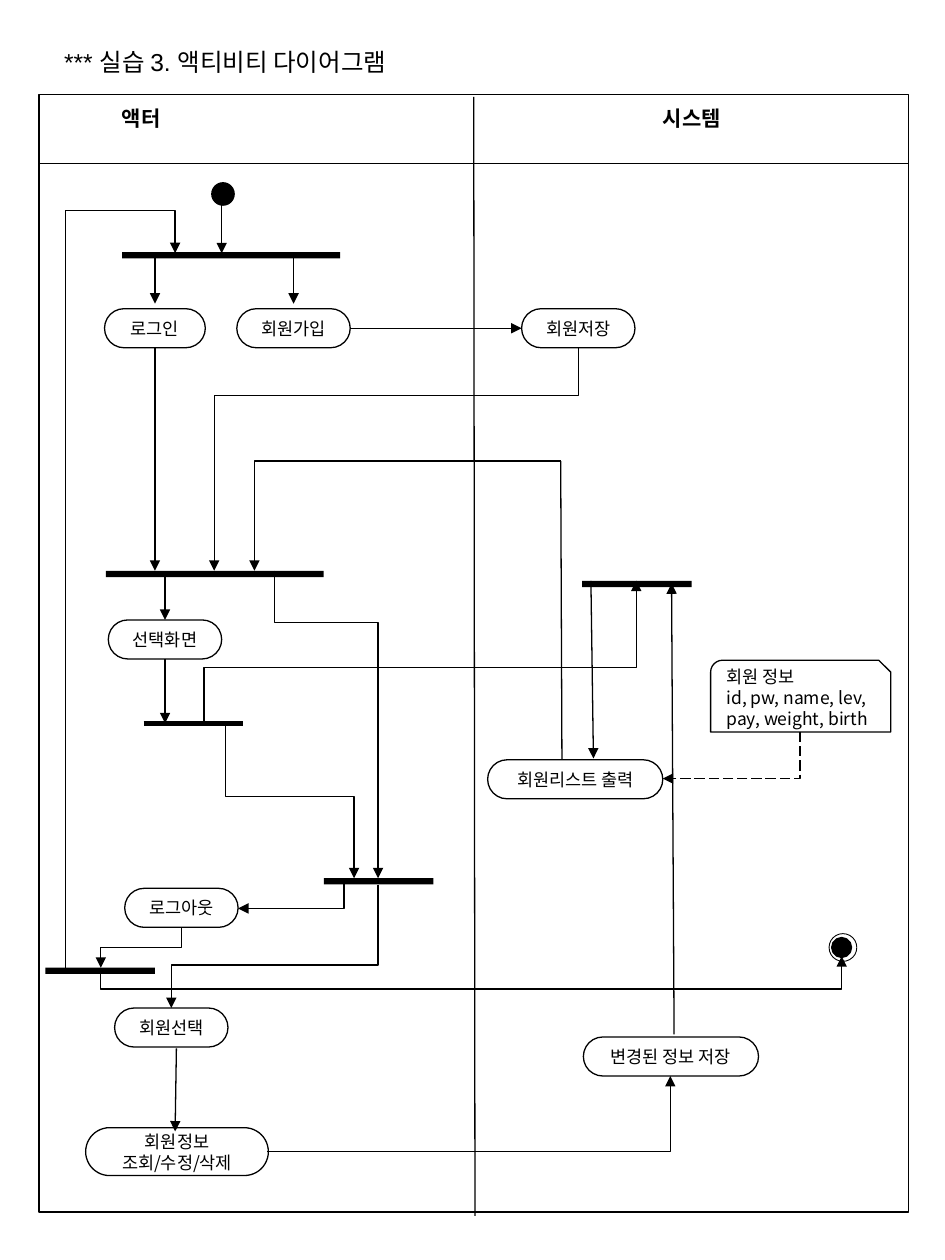
from lxml.etree import SubElement
from pptx import Presentation
from pptx.dml.color import RGBColor
from pptx.enum.dml import MSO_LINE
from pptx.enum.shapes import MSO_CONNECTOR as Connector, MSO_SHAPE as Shape
from pptx.enum.text import MSO_ANCHOR as Anchor, PP_ALIGN as Align
from pptx.oxml.ns import qn
from pptx.util import Inches, Pt

COLUMNS, ROWS = 75, 100
TOP, LEFT, BOTTOM, RIGHT = range(4)


def color(value):
    return RGBColor.from_string(value)


class ActivityDiagram:
    """Draws on one slide; every length is in columns and rows of the grid."""
    ink = "000000"
    body_font = "Noto Sans CJK KR"
    title_font = "Arial"
    thin = 0.75

    def __init__(self, presentation):
        self.slide = presentation.slides.add_slide(presentation.slide_layouts[6])
        self.column = presentation.slide_width / COLUMNS
        self.row = presentation.slide_height / ROWS

    def grid(self, x, y):
        return round(x * self.column), round(y * self.row)

    def add_lines(self, frame, lines, size, font, align, bold=False):
        frame.word_wrap = True
        for number, line in enumerate(lines):
            paragraph = frame.add_paragraph() if number else frame.paragraphs[0]
            paragraph.alignment = align
            run = paragraph.add_run()
            run.text = line
            run.font.size = Pt(size)
            run.font.bold = bold
            run.font.name = font
            run.font.color.rgb = color(self.ink)
            east_asian = SubElement(run._r.get_or_add_rPr(), qn("a:ea"))
            east_asian.set("typeface", self.body_font)

    def heading(self, box, text, size=12, align=Align.LEFT, bold=True):
        x, y, width, height = box
        shape = self.slide.shapes.add_textbox(*self.grid(x, y), *self.grid(width, height))
        self.add_lines(shape.text_frame, [text], size, self.title_font, align, bold)
        return shape

    def shape(self, kind, box, filled=False, line=thin):
        x, y, width, height = box
        shape = self.slide.shapes.add_shape(kind, *self.grid(x, y), *self.grid(width, height))
        shape.shadow.inherit = False
        if filled:
            shape.fill.solid()
            shape.fill.fore_color.rgb = color(self.ink)
        else:
            shape.fill.background()
        if line:
            shape.line.color.rgb = color(self.ink)
            shape.line.width = Pt(line)
        else:
            shape.line.fill.background()
        return shape

    def activity(self, x, y, width, text, height=3.1):
        shape = self.shape(Shape.ROUNDED_RECTANGLE, (x, y, width, height))
        shape.adjustments[0] = 0.5
        shape.text_frame.vertical_anchor = Anchor.MIDDLE
        self.add_lines(shape.text_frame, [text], 10, self.body_font, Align.CENTER)
        return shape

    def note(self, box, lines):
        shape = self.shape(Shape.SNIP_ROUND_RECTANGLE, box)
        shape.text_frame.vertical_anchor = Anchor.MIDDLE
        self.add_lines(shape.text_frame, lines, 10, self.body_font, Align.LEFT)

    def bar(self, x, y, width):
        self.shape(Shape.RECTANGLE, (x, y, width, 0.5), filled=True, line=None)

    def dot(self, x, y, diameter):
        self.shape(Shape.OVAL, (x, y, diameter, diameter), filled=True, line=2)

    def style_connector(self, connector, width=thin, arrow=True, dashed=False):
        connector.line.color.rgb = color(self.ink)
        connector.line.width = Pt(width)
        if dashed:
            connector.line.dash_style = MSO_LINE.LONG_DASH
        if arrow:
            SubElement(connector.line._get_or_add_ln(), qn("a:tailEnd")).set("type", "triangle")
        SubElement(connector._element.spPr, qn("a:effectLst"))

    def line(self, start, end, width=thin, arrow=False, source=None, target=None):
        """source and target are (shape, side) pairs to which the ends are joined."""
        connector = self.slide.shapes.add_connector(
            Connector.STRAIGHT, *self.grid(*start), *self.grid(*end))
        if source:
            connector.begin_connect(*source)
        if target:
            connector.end_connect(*target)
        self.style_connector(connector, width, arrow)

    def arrow(self, start, end, **joins):
        self.line(start, end, arrow=True, **joins)

    def elbow(self, start, end, turn=None, vertical_first=True, dashed=False):
        """Arrow with one corner, or with two corners on the row given as turn."""
        (x1, y1), (x2, y2) = start, end
        width, height = abs(x2 - x1), abs(y2 - y1)
        middle_x, middle_y = (x1 + x2) / 2, (y1 + y2) / 2
        flip_h, flip_v, rotation = x2 < x1, y2 < y1, 0
        if vertical_first:
            width, height = height, width
            flip_h, flip_v, rotation = y2 < y1, x2 > x1, 90
            if flip_v and not flip_h:
                flip_h, flip_v, rotation = True, False, 270
        connector = self.slide.shapes.add_connector(
            Connector.ELBOW,
            *self.grid(middle_x - width / 2, middle_y - height / 2),
            *self.grid(middle_x + width / 2, middle_y + height / 2))
        transform = connector._element.spPr.find(qn("a:xfrm"))
        for name, value in (("rot", rotation * 60000), ("flipH", flip_h), ("flipV", flip_v)):
            if value:
                transform.set(name, str(int(value)))
        geometry = connector._element.spPr.find(qn("a:prstGeom"))
        if turn is None:
            geometry.set("prst", "bentConnector2")
        else:
            guide = SubElement(geometry.find(qn("a:avLst")), qn("a:gd"))
            guide.set("name", "adj1")
            guide.set("fmla", f"val {round((turn - y1) / (y2 - y1) * 100000)}")
        self.style_connector(connector, dashed=dashed)


def draw_lanes(diagram):
    title = diagram.heading((4.1, 3.1, 31.1, 3.5), "*** 실습 3. 액티비티 다이어그램", 14, bold=False)
    title.text_frame.word_wrap = False
    title.text_frame.paragraphs[0].line_spacing = Pt(18)
    diagram.shape(Shape.RECTANGLE, (3.1, 7.5, 69, 88.7))
    diagram.line((3.2, 13), (72.1, 13))
    diagram.line((37.6, 7.7), (37.7, 96.5))
    diagram.heading((8.7, 7.9, 24, 2.7), "액터")
    diagram.heading((42.9, 7.9, 24, 5.1), "시스템", align=Align.CENTER)


def draw_nodes(diagram):
    diagram.dot(16.9, 14.6, 1.6)
    diagram.shape(Shape.OVAL, (65.8, 74.1, 2.2, 2.2), line=0.5)
    diagram.dot(66.1, 74.5, 1.4)
    for x, y, width in ((9.7, 20, 17.3), (8.4, 45.3, 17.3), (25.7, 69.7, 8.7),
                        (46.2, 46.1, 8.7), (3.6, 76.8, 8.7)):
        diagram.bar(x, y, width)
    diagram.line((11.4, 57.4), (19.3, 57.4), width=3)
    diagram.note((56.4, 52.4, 14.3, 5.7), ["회원 정보", "id, pw, name, lev, pay, weight, birth"])
    diagram.activity(38.7, 60.3, 13.9, "회원리스트 출력")
    diagram.activity(9.9, 70.5, 9, "로그아웃")
    diagram.activity(9.1, 80, 9, "회원선택")
    diagram.activity(6.8, 89.5, 14.5, "회원정보 조회/수정/삭제", height=3.8)
    diagram.activity(46.3, 82.3, 13.9, "변경된 정보 저장")


def draw_flows(diagram):
    login = diagram.activity(8.3, 24.5, 8, "로그인")
    join = diagram.activity(18.8, 24.5, 9, "회원가입")
    save = diagram.activity(41.4, 24.5, 9, "회원저장")
    select = diagram.activity(8.6, 49.2, 9, "선택화면")
    diagram.arrow((27.9, 26), (41.3, 26), source=(join, RIGHT), target=(save, LEFT))
    diagram.arrow((12.3, 27.6), (12.3, 45.3), source=(login, BOTTOM))
    diagram.arrow((13.1, 45.4), (13.1, 49.2), target=(select, TOP))
    diagram.arrow((13.1, 52.3), (13.1, 57.4), source=(select, BOTTOM))
    for start, end in (((17.6, 16.1), (17.6, 20.1)), ((12.3, 20.2), (12.3, 24.1)),
                       ((23.3, 20.2), (23.3, 24.1)), ((14, 83.2), (13.9, 89.8)),
                       ((53.5, 82.1), (53.3, 46.3)), ((46.9, 46.1), (47.1, 60.2))):
        diagram.arrow(start, end)
    diagram.line((44.5, 36.6), (44.6, 60.3))
    for start, end, turn in (((5.2, 76.8), (13.9, 20.1), 16.7), ((16.2, 57.4), (50.5, 46.1), 53),
                             ((45.9, 27.6), (17, 45.3), 31.4), ((30, 70.2), (13.6, 80), 76.6),
                             ((17.9, 57.4), (28.1, 69.7), 63.2), ((8, 77.3), (66.8, 75.9), 78.5),
                             ((14.4, 73.6), (8, 76.8), 75.2), ((21.8, 45.3), (30, 69.7), 49.4)):
        diagram.elbow(start, end, turn)
    diagram.elbow((27.3, 69.7), (18.9, 72.1))
    diagram.elbow((63.5, 58.1), (52.6, 61.8), dashed=True)
    diagram.elbow((44.5, 36.6), (20.2, 45.3), vertical_first=False)
    diagram.elbow((21.2, 91.4), (53.2, 85.4), vertical_first=False)


def main():
    presentation = Presentation()
    presentation.slide_width, presentation.slide_height = Inches(7.5), Inches(10)
    diagram = ActivityDiagram(presentation)
    draw_lanes(diagram)
    draw_nodes(diagram)
    draw_flows(diagram)
    presentation.save("out.pptx")


if __name__ == "__main__":
    main()
